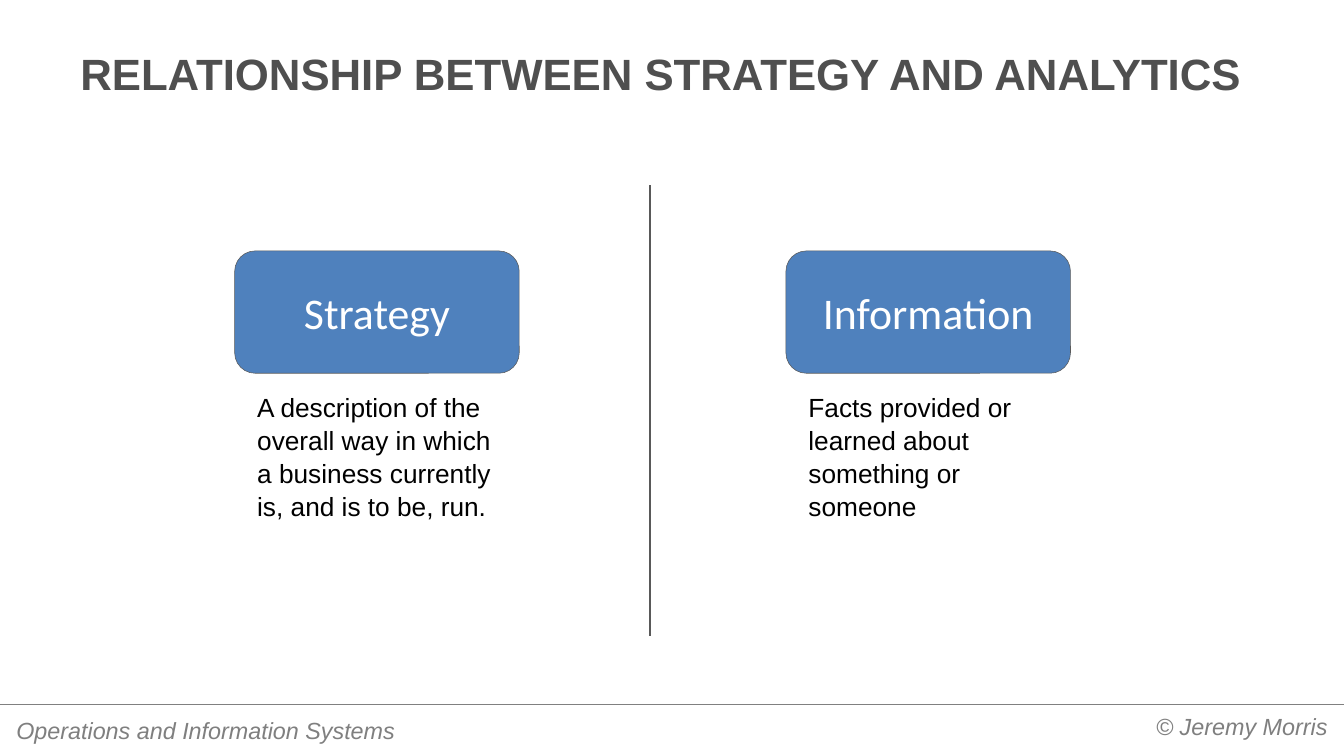
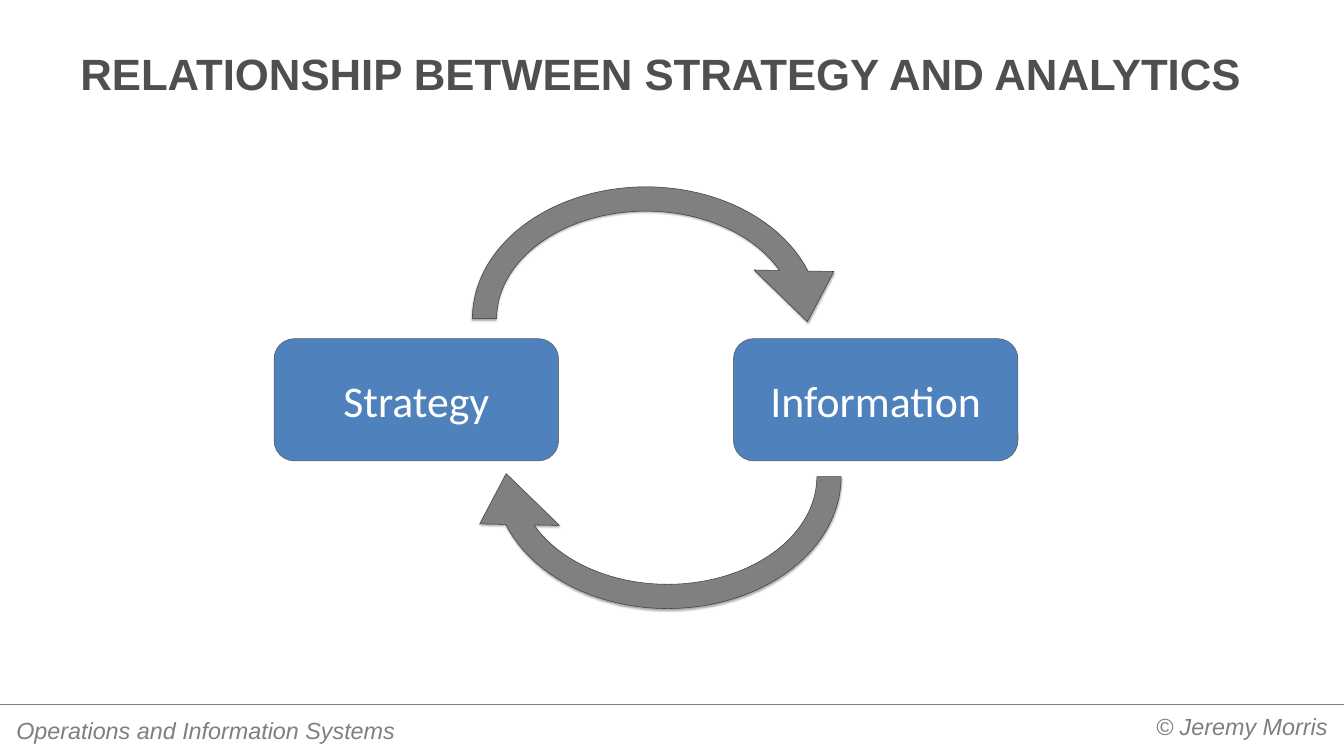
from dataclasses import dataclass

from lxml import etree
from pptx import Presentation
from pptx.dml.color import RGBColor
from pptx.enum.shapes import MSO_CONNECTOR, MSO_SHAPE
from pptx.enum.text import MSO_ANCHOR as Anchor, MSO_AUTO_SIZE as AutoSize, PP_ALIGN as Align
from pptx.oxml import parse_xml
from pptx.oxml.ns import nsdecls, qn
from pptx.slide import Slide, SlideLayout
from pptx.util import Inches, Pt


@dataclass(frozen=True)
class Theme:
    sans: str = "Arial"
    label: str = "Calibri"
    title_color: str = "4F4F4F"
    footer_color: str = "7F7F7F"
    text_color: str = "000000"
    card_fill: str = "4F81BD"
    card_text: str = "FFFFFF"
    card_line: str = "595959"
    arrow_fill: str = "808080"
    arrow_line: str = "404040"
    heading_size: int = 60
    body_size: int = 36
    footer_size: int = 32
    thin: float = 0.75
    thick: float = 3.5


@dataclass(frozen=True)
class Frame:
    left: float
    top: float
    width: float
    height: float

    def lengths(self) -> list:
        return [Inches(n) for n in (self.left, self.top, self.width, self.height)]


@dataclass(frozen=True)
class Concept:
    name: str
    definition: str


@dataclass(frozen=True)
class Arrow:
    frame: Frame
    rotation: int


THEME = Theme()
TITLE = "RELATIONSHIP BETWEEN STRATEGY AND ANALYTICS"
SLIDE_WIDTH, SLIDE_HEIGHT = 25.6, 14.4
CARD_WIDTH, CARD_HEIGHT = 5.42, 2.33
CONCEPTS = (
    Concept("Strategy", "A description of the overall way in which a business currently "
                        "is, and is to be, run."),
    Concept("Information", "Facts provided or learned about something or someone"),
)
ARROWS = (
    Arrow(Frame(8.47, 3.03, 7.67, 6.08), 0),
    Arrow(Frame(8.88, 6.04, 7.67, 6.08), 180),
)
ARROW_ADJUSTMENTS = (0.076, 11.423, 205.233, 108, 0.125)


def rgb(color: str) -> RGBColor:
    return RGBColor.from_string(color)


def write(shape, text: str, size: int, color: str, font: str = THEME.sans,
          align: Align = Align.LEFT, bold: bool = False, italic: bool = False):
    """Write one formatted paragraph and return it."""
    para = shape.text_frame.paragraphs[0]
    para.text = text
    para.alignment = align
    para.font.name, para.font.size = font, Pt(size)
    para.font.bold, para.font.italic = bold, italic
    para.font.color.rgb = rgb(color)
    return para


def set_insets(shape, side: float, end: float) -> None:
    frame = shape.text_frame
    frame.margin_left = frame.margin_right = Inches(side)
    frame.margin_top = frame.margin_bottom = Inches(end)


def add_text_box(page: Slide, frame: Frame):
    box = page.shapes.add_textbox(*frame.lengths())
    box.text_frame.word_wrap = True
    box.text_frame.auto_size = AutoSize.SHAPE_TO_FIT_TEXT
    return box


def add_line(page: Slide, start: tuple[float, float], end: tuple[float, float],
             color: str, width: float):
    line = page.shapes.add_connector(
        MSO_CONNECTOR.STRAIGHT, *(Inches(n) for n in (*start, *end)))
    line.line.color.rgb = rgb(color)
    line.line.width = Pt(width)
    etree.SubElement(line.element.spPr, qn("a:effectLst"))
    return line


def add_solid(page: Slide, kind: MSO_SHAPE, frame: Frame, fill: str, line: str):
    shape = page.shapes.add_shape(kind, *frame.lengths())
    shape.shadow.inherit = False
    shape.fill.solid()
    shape.fill.fore_color.rgb = rgb(fill)
    shape.line.color.rgb = rgb(line)
    shape.line.width = Pt(THEME.thin)
    return shape


def add_card(page: Slide, concept: Concept, left: float, top: float) -> None:
    card = add_solid(page, MSO_SHAPE.ROUNDED_RECTANGLE,
                     Frame(left, top, CARD_WIDTH, CARD_HEIGHT),
                     THEME.card_fill, THEME.card_line)
    card.text_frame.vertical_anchor = Anchor.MIDDLE
    write(card, concept.name, THEME.heading_size, THEME.card_text, THEME.label, Align.CENTER)


def add_definition(page: Slide, concept: Concept, left: float, top: float) -> None:
    box = add_text_box(page, Frame(left, top, 4.75, 2.52))
    para = write(box, concept.definition, THEME.body_size, THEME.text_color)
    para.line_spacing = 1.05


def add_arrow(page: Slide, arrow: Arrow) -> None:
    shape = add_solid(page, MSO_SHAPE.CIRCULAR_ARROW, arrow.frame,
                      THEME.arrow_fill, THEME.arrow_line)
    shape.rotation = arrow.rotation
    for index, value in enumerate(ARROW_ADJUSTMENTS):
        shape.adjustments[index] = value
    shape.element.spPr.find(qn("a:effectLst")).append(parse_xml(
        f'<a:outerShdw {nsdecls("a")} blurRad="{Pt(3.1)}" dist="{Pt(1.8)}" dir="5400000" '
        'rotWithShape="0"><a:srgbClr val="000000"><a:alpha val="35000"/></a:srgbClr>'
        '</a:outerShdw>'))


def add_page(deck, layout: SlideLayout) -> Slide:
    page = deck.slides.add_slide(layout)
    title = page.shapes.title
    title.left, title.top, title.width, title.height = Frame(1.28, 0.53, 23.04, 1.49).lengths()
    title.text_frame.auto_size = AutoSize.NONE
    title.text_frame.vertical_anchor = Anchor.BOTTOM
    set_insets(title, 0.25, 0.12)
    write(title, TITLE, THEME.heading_size, THEME.title_color, bold=True)
    return page


def move_footer_to_layout(page: Slide, layout: SlideLayout) -> None:
    """Draw the footer once and hand it to the layout that all pages share."""
    parts = [add_line(page, (0, 13.41), (SLIDE_WIDTH, 13.41), THEME.arrow_fill, THEME.thin)]
    for text, frame, align in (
        ("© Jeremy Morris", Frame(14.58, 13.48, 10.89, 1.26), Align.RIGHT),
        ("Operations and Information Systems", Frame(0.13, 13.56, 8.75, 0.72), Align.LEFT),
    ):
        box = add_text_box(page, frame)
        set_insets(box, 0.18, 0.09)
        write(box, text, THEME.footer_size, THEME.footer_color, align=align, italic=True)
        parts.append(box)
    for part in parts:
        layout.shapes.element.append(part.element)


def fill_definitions(page: Slide) -> None:
    for index, concept in enumerate(CONCEPTS):
        left = 4.47 + 10.5 * index
        add_card(page, concept, left, 4.78)
        add_definition(page, concept, left + 0.33, 7.37)
    add_line(page, (12.38, 3.53), (12.38, 12.12), THEME.card_line, THEME.thick)


def fill_cycle(page: Slide) -> None:
    for index, concept in enumerate(CONCEPTS):
        add_card(page, concept, 5.22 + 8.75 * index, 6.45)
    for arrow in ARROWS:
        add_arrow(page, arrow)


def main() -> None:
    deck = Presentation()
    deck.slide_width, deck.slide_height = Inches(SLIDE_WIDTH), Inches(SLIDE_HEIGHT)
    layout = deck.slide_layouts.get_by_name("Title Only")
    definitions, cycle = (add_page(deck, layout) for _ in range(2))
    move_footer_to_layout(definitions, layout)
    fill_definitions(definitions)
    fill_cycle(cycle)
    deck.save("out.pptx")


if __name__ == "__main__":
    main()
